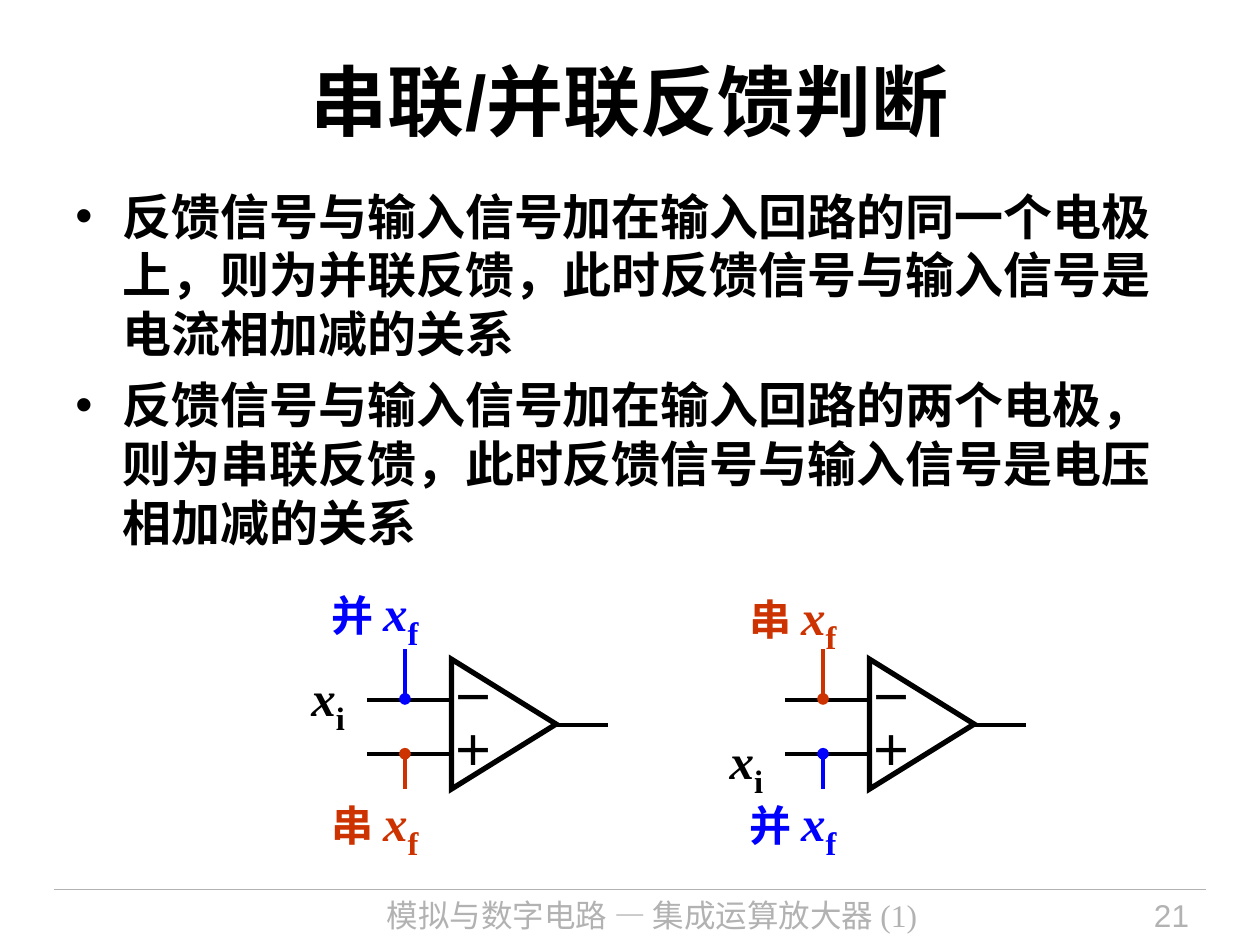
import pptx
import pptx.dml.color
import pptx.enum.shapes
import pptx.enum.text
import pptx.oxml.ns
import pptx.util
from lxml import etree

Pt = pptx.util.Pt
qn = pptx.oxml.ns.qn
Align = pptx.enum.text.PP_ALIGN
Anchor = pptx.enum.text.MSO_ANCHOR
AutoSize = pptx.enum.text.MSO_AUTO_SIZE


class Theme:
    INK, GREY, PARALLEL, SERIES = "000000", "B2B2B2", "0000FF", "CC3300"
    SANS, SERIF = "Arial", "Times New Roman"
    HEADING = {"name": SANS, "size": Pt(44), "bold": True}
    BODY = {"name": SANS, "size": Pt(28), "bold": True}
    FOOTER = {"name": SERIF, "size": Pt(18)}
    NUMBER = {"name": SANS, "size": Pt(18)}
    WORD = {"name": SERIF, "size": Pt(24), "bold": True}
    VARIABLE = {"name": SERIF, "size": Pt(28), "bold": True, "italic": True}
    SUBSCRIPT = {"name": SERIF, "size": Pt(32), "bold": True, "italic": False}
    RULE, WIRE, OUTLINE = Pt(0.75), Pt(2.25), Pt(3)


def rgb(color):
    return pptx.dml.color.RGBColor.from_string(color)


def apply_format(target, values):
    for attribute, value in values.items():
        setattr(target, attribute, value)


def add_run(paragraph, text, style, color):
    run = paragraph.add_run()
    run.text = text
    apply_format(run.font, style)
    run.font.color.rgb = rgb(color)
    if style is Theme.SUBSCRIPT:
        run.font._element.set("baseline", "-25000")


def add_text(slide, box, runs, color, align=Align.LEFT, **frame_values):
    """Write one paragraph; runs is a list of (text, style) pairs."""
    frame = slide.shapes.add_textbox(*map(Pt, box)).text_frame
    apply_format(frame, {"word_wrap": True, **frame_values})
    paragraph = frame.paragraphs[0]
    paragraph.alignment = align
    for text, style in runs:
        add_run(paragraph, text, style, color)


def add_line(slide, x1, y1, x2, y2, color=Theme.INK, width=Theme.WIRE, dot=False):
    """Draw a line, with an optional junction dot at its start."""
    line = slide.shapes.add_connector(
        pptx.enum.shapes.MSO_CONNECTOR.STRAIGHT, *map(Pt, (x1, y1, x2, y2)))
    line.line.color.rgb = rgb(color)
    line.line.width = width
    if dot:
        etree.SubElement(line.line._ln, qn("a:headEnd"), type="oval")
    etree.SubElement(line._element.spPr, qn("a:effectLst"))


def add_footer(slide, left, top, width, height):
    add_line(slide, left, top, left + width, top, Theme.GREY, Theme.RULE)
    add_text(slide, (left + 148.5, top, 386, height),
             [("模拟与数字电路 — 集成运算放大器 (1)", Theme.FOOTER)],
             Theme.GREY, Align.CENTER)
    add_text(slide, (left + 559.7, top, 95.8, height),
             [("21", Theme.NUMBER)], Theme.GREY, Align.RIGHT)


def add_bullets(slide, box, points):
    frame = slide.shapes.add_textbox(*map(Pt, box)).text_frame
    frame.word_wrap = True
    for index, point in enumerate(points):
        paragraph = frame.add_paragraph() if index else frame.paragraphs[0]
        properties = paragraph._p.get_or_add_pPr()
        properties.set("marL", str(Pt(27)))
        properties.set("indent", str(-Pt(27)))
        etree.SubElement(properties, qn("a:buFont"), typeface=Theme.SANS)
        etree.SubElement(properties, qn("a:buChar"), char="•")
        paragraph.space_after = Pt(7)
        add_run(paragraph, point, Theme.BODY, Theme.INK)


def add_amplifier(slide, left, top):
    triangle = slide.shapes.add_shape(
        pptx.enum.shapes.MSO_SHAPE.ISOSCELES_TRIANGLE,
        Pt(left + 79.9), Pt(top + 58.3), Pt(74.2), Pt(59.8))
    triangle.rotation = 90
    triangle.shadow.inherit = False
    triangle.fill.background()
    triangle.line.color.rgb = rgb(Theme.INK)
    triangle.line.width = Theme.OUTLINE
    etree.SubElement(triangle.line._ln, qn("a:miter"), lim="800000")
    for sign, lead_y, sign_y, sign_width in (("－", 74.2, 54.7, 38.9),
                                             ("＋", 105.1, 85, 43.9)):
        add_line(slide, left + 38.9, top + lead_y, left + 88.2, top + lead_y)
        add_text(slide, (left + 80.6, top + sign_y, sign_width, 36),
                 [(sign, Theme.WORD)], Theme.INK,
                 auto_size=AutoSize.SHAPE_TO_FIT_TEXT)
    add_line(slide, left + 146.9, top + 88.6, left + 176.4, top + 88.6)


def add_symbol(slide, box, subscript, color, word=None):
    """Write x with a subscript, after an optional word."""
    runs = [(word + " ", Theme.WORD)] if word else []
    runs += [("x", Theme.VARIABLE), (subscript, Theme.SUBSCRIPT)]
    add_text(slide, box, runs, color, word_wrap=False,
             auto_size=AutoSize.SHAPE_TO_FIT_TEXT)


def add_circuit(slide, left, top, input_y, upper, lower, upper_y):
    """Draw an amplifier; upper and lower are its (word, color) feedbacks."""
    add_amplifier(slide, left, top)
    add_symbol(slide, (left, top + input_y, 38, 51.1), "i", Theme.INK)
    for (word, color), label_y, start_y, end_y in (
            (upper, upper_y, 73.8, 45.4), (lower, 119.5, 105.1, 125.1)):
        add_line(slide, left + 60.5, top + start_y, left + 60.5, top + end_y,
                 color, dot=True)
        add_symbol(slide, (left + 11.5, top + label_y, 72, 51.1),
                   "f", color, word)


def main():
    deck = pptx.Presentation()
    deck.slide_width, deck.slide_height = Pt(720), Pt(540)
    slide = deck.slides.add_slide(deck.slide_layouts[6])

    add_footer(slide, 31, 508.3, 658, 31.7)
    add_text(slide, (36, 12.2, 648, 90), [("串联/并联反馈判断", Theme.HEADING)],
             Theme.INK, Align.CENTER, vertical_anchor=Anchor.MIDDLE)
    add_bullets(slide, (36, 102.8, 648, 224), (
        "反馈信号与输入信号加在输入回路的同一个电极上，则为并联反馈，"
        "此时反馈信号与输入信号是电流相加减的关系",
        "反馈信号与输入信号加在输入回路的两个电极，则为串联反馈，"
        "此时反馈信号与输入信号是电压相加减的关系"))

    parallel, series = ("并", Theme.PARALLEL), ("串", Theme.SERIES)
    add_circuit(slide, 170.9, 325.6, 48.2, parallel, series, 0)
    add_circuit(slide, 409.8, 325.6, 84.2, series, parallel, 2.2)
    deck.save("out.pptx")


if __name__ == "__main__":
    main()
